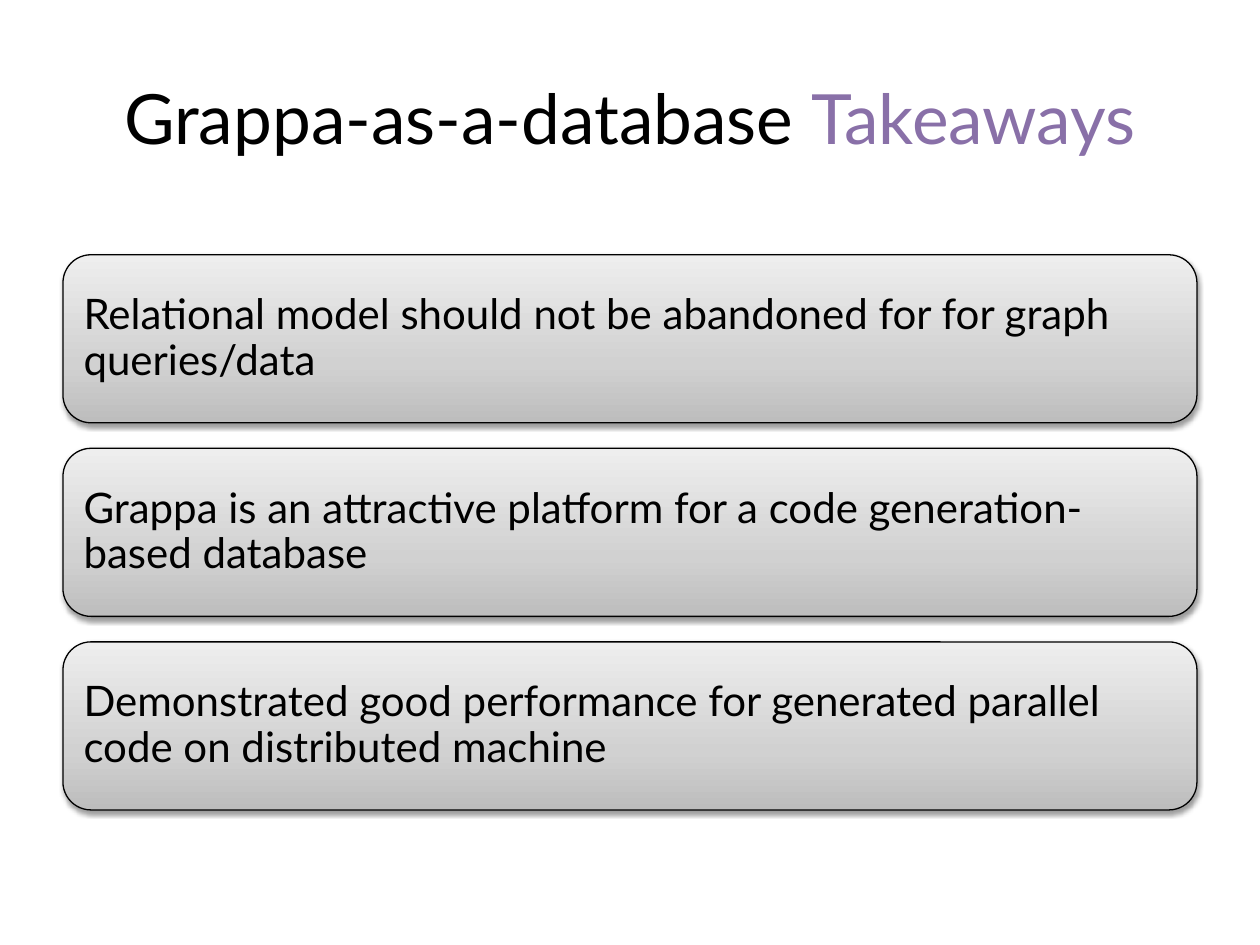
from copy import deepcopy
from lxml import etree
from pptx import Presentation
from pptx.dml.color import RGBColor
from pptx.enum import shapes, text
from pptx.oxml import ns
from pptx.util import Pt

BLACK = RGBColor(0, 0, 0)
PURPLE = RGBColor(0x89, 0x70, 0xA8)
GRAYS = [
    (0, RGBColor(0xBD, 0xBD, 0xBD)),
    (0.35, RGBColor(0xD1, 0xD1, 0xD1)),
    (1, RGBColor(0xEE, 0xEE, 0xEE)),
]

TITLE = [("Grappa-as-a-database ", BLACK), ("Takeaways", PURPLE)]
POINTS = [
    "Relational model should not be abandoned for for graph queries/data",
    "Grappa is an attractive platform for a code generation-based database",
    "Demonstrated good performance for generated parallel code on distributed machine",
]

LEFT, WIDTH = 36, 648
TOP, HIGH, GAP = 145.6, 96, 14.6
FRAME = {"word_wrap": True, "vertical_anchor": text.MSO_ANCHOR.MIDDLE}
INSET = {"margin_" + side: Pt(7.2) for side in ("left", "top", "right", "bottom")}


def put(item, vals):
    for key, val in vals.items():
        setattr(item, key, val)


def write(par, words, size, color):
    run = par.add_run()
    run.text = words
    put(run.font, {"name": "Lato", "size": Pt(size)})
    run.font.color.rgb = color


def shade(fill):
    fill.gradient()
    fill.gradient_angle = 90
    stops = fill.gradient_stops
    last = stops[-1]._gs
    last.addnext(deepcopy(last))
    for stop, (pos, color) in zip(fill.gradient_stops, GRAYS):
        stop.position = pos
        stop.color.rgb = color


def drop(box):
    box.shadow.inherit = False
    list_ = box._element.spPr.find(ns.qn("a:effectLst"))
    cast = etree.SubElement(list_, ns.qn("a:outerShdw"), {
        "blurRad": str(Pt(3.1)), "dist": str(Pt(1.6)),
        "dir": "5400000", "rotWithShape": "0"})
    tint = etree.SubElement(cast, ns.qn("a:srgbClr"), val=str(BLACK))
    etree.SubElement(tint, ns.qn("a:alpha"), val="38000")


def main():
    deck = Presentation()
    put(deck, {"slide_width": Pt(720), "slide_height": Pt(540)})
    slide = deck.slides.add_slide(deck.slide_layouts[6])

    head = slide.shapes.add_textbox(Pt(LEFT), Pt(21.6), Pt(WIDTH), Pt(90))
    put(head.text_frame, FRAME)
    par = head.text_frame.paragraphs[0]
    par.alignment = text.PP_ALIGN.CENTER
    for words, color in TITLE:
        write(par, words, 39.6, color)

    for row, words in enumerate(POINTS):
        box = slide.shapes.add_shape(
            shapes.MSO_SHAPE.ROUNDED_RECTANGLE, Pt(LEFT),
            Pt(TOP + row * (HIGH + GAP)), Pt(WIDTH), Pt(HIGH))
        shade(box.fill)
        box.line.color.rgb = BLACK
        box.line.width = Pt(0.75)
        drop(box)
        put(box.text_frame, FRAME | INSET)
        par = box.text_frame.paragraphs[0]
        put(par, {"alignment": text.PP_ALIGN.LEFT, "line_spacing": 0.9})
        write(par, words, 24, BLACK)

    deck.save("out.pptx")


if __name__ == "__main__":
    main()
